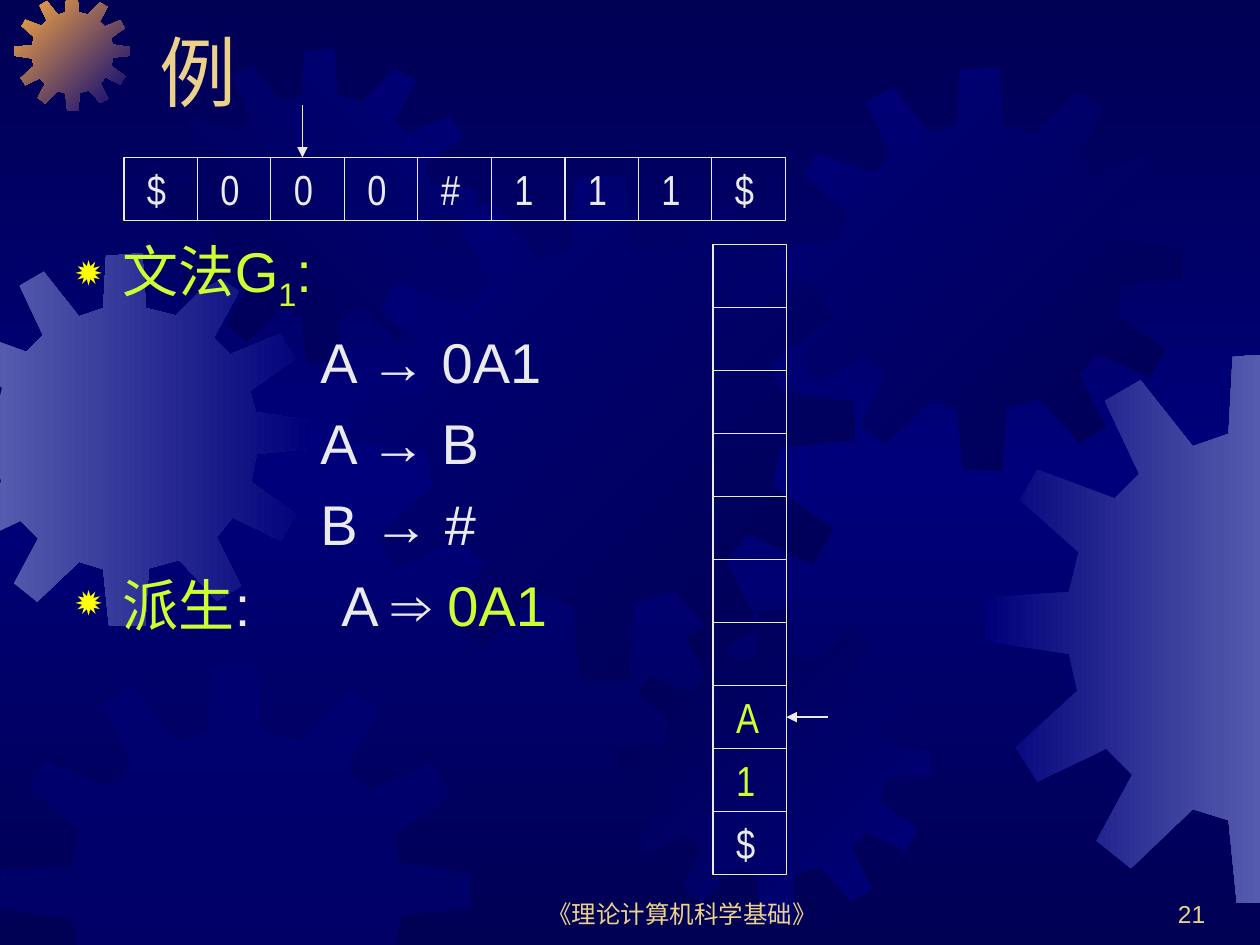
"""Build a slide showing a pushdown automaton's input tape, grammar and stack."""
from lxml import etree
from pptx import Presentation
from pptx.dml.color import RGBColor
from pptx.enum import shapes, text
from pptx.oxml import ns
from pptx.util import Pt

NAVY = RGBColor(0x00, 0x00, 0x54)
BLUE = RGBColor(0x00, 0x00, 0x7A)
STEEL = RGBColor(0x55, 0x5B, 0xAD)
ORANGE = RGBColor(0xFC, 0xAB, 0x40)
GOLD = RGBColor(0xEB, 0xD1, 0x89)
PALE = RGBColor(0xEA, 0xEA, 0xEA)
LIME = RGBColor(0xCC, 0xFF, 0x33)
YELLOW = RGBColor(0xFF, 0xFF, 0x00)

WIDTH, HEIGHT = 720, 540
CELL_W, CELL_H = 42, 36
TAPE_LEFT, TAPE_TOP = 70.8, 90
STACK_LEFT, STACK_TOP = 407.4, 139.8
GEAR_UNIT = 401
GEAR = [
    (255, 67), (223, 59), (219, 0), (180, 3), (177, 59), (151, 68), (113, 20), (87, 35),
    (112, 88), (94, 106), (38, 85), (25, 107), (68, 145), (61, 174), (1, 178), (0, 210),
    (61, 219), (67, 246), (22, 287), (38, 312), (88, 288), (107, 307), (81, 355), (106, 375),
    (151, 332), (177, 340), (183, 400), (222, 401), (226, 339), (259, 330), (299, 374),
    (325, 358), (299, 306), (316, 284), (368, 309), (384, 281), (336, 246), (342, 216),
    (401, 210), (400, 180), (341, 171), (335, 148), (383, 114), (367, 87), (313, 109),
    (296, 91), (323, 41), (297, 25),
]
GEARS = [
    (-35, 144.7, 213, (STEEL, BLUE), 0),
    (8.3, -2.7, 66, (ORANGE, BLUE), 45),
    (93.6, 28.1, 178.6, (NAVY, BLUE), 315),
    (199.4, 100.1, 289, (BLUE, NAVY), 45),
    (0, 378, 269.3, (BLUE,), 0),
    (353.5, 348.5, 178.6, (NAVY, BLUE), 45),
    (445, 38.2, 230.6, (BLUE, NAVY), 45),
    (563, 201.6, 315, (BLUE, STEEL), 0),
]


def add(parent, tag, **attrs):
    """Append a DrawingML element with its attributes."""
    return etree.SubElement(parent, ns.qn(tag), {k: str(v) for k, v in attrs.items()})


def clip(points, axis, limit, sign):
    """Cut a polygon at a horizontal or vertical limit."""
    kept = []
    for a, b in zip(points, points[1:] + points[:1]):
        da, db = sign * (a[axis] - limit), sign * (b[axis] - limit)
        if da >= 0:
            kept.append(a)
        if da * db < 0:
            t = da / (da - db)
            kept.append((a[0] + t * (b[0] - a[0]), a[1] + t * (b[1] - a[1])))
    return kept


class Deck:
    """Hold the style and the current slide."""

    def __init__(self):
        """Start a presentation with one title-only slide."""
        self.prs = Presentation()
        self.prs.slide_width, self.prs.slide_height = Pt(WIDTH), Pt(HEIGHT)
        self.s = self.prs.slides.add_slide(self.prs.slide_layouts[5])
        self.font, self.cell_font = "Arial", "Arial Narrow"

    def style(self, r, size, color, font=None):
        """Format one run."""
        r.font.name, r.font.size = font or self.font, Pt(size)
        r.font.color.rgb = color

    def gradient(self, fill, element, colors, angle):
        """Fill with evenly spaced colours at a clockwise angle."""
        fill.gradient()
        fill.gradient_angle = -angle % 360
        stops = next(element.iter(ns.qn("a:gsLst")))
        stops[:] = []
        for i, color in enumerate(colors):
            stop = add(stops, "a:gs", pos=i * 100000 // (len(colors) - 1))
            add(stop, "a:srgbClr", val=color)

    def background(self, colors, angle):
        """Paint the slide background."""
        self.gradient(self.s.background.fill, self.s.element, colors, angle)

    def gear(self, left, top, size, colors, angle):
        """Draw a gear, cut off at the slide's edges."""
        k = size / GEAR_UNIT
        points = [(left + x * k, top + y * k) for x, y in GEAR]
        for edge in ((0, 0, 1), (0, WIDTH, -1), (1, 0, 1), (1, HEIGHT, -1)):
            points = clip(points, *edge)
        points = [(Pt(x), Pt(y)) for x, y in points]
        builder = self.s.shapes.build_freeform(*points[0])
        builder.add_line_segments(points[1:], close=True)
        sp = builder.convert_to_shape()
        sp.shadow.inherit = False
        sp.line.fill.background()
        if len(colors) > 1:
            self.gradient(sp.fill, sp.element, colors, angle)
        else:
            sp.fill.solid()
            sp.fill.fore_color.rgb = colors[0]
            add(next(sp.element.iter(ns.qn("a:srgbClr"))), "a:alpha", val=50000)

    def title(self, words, left, top, width, height):
        """Place and format the title."""
        sp = self.s.shapes.title
        sp.left, sp.top, sp.width, sp.height = Pt(left), Pt(top), Pt(width), Pt(height)
        tf = sp.text_frame
        tf.text = words
        tf.vertical_anchor = text.MSO_ANCHOR.BOTTOM
        p = tf.paragraphs[0]
        p.alignment = text.PP_ALIGN.LEFT
        self.style(p.runs[0], 44, GOLD)
        tree = self.s.shapes.element
        tree.remove(sp.element)
        tree.append(sp.element)

    def textbox(self, left, top, width, height):
        """Add a wrapping text box and return its frame."""
        tf = self.s.shapes.add_textbox(Pt(left), Pt(top), Pt(width), Pt(height)).text_frame
        tf.word_wrap = True
        return tf

    def footer(self, words, left, width, align):
        """Add a line at the foot of the slide."""
        tf = self.textbox(left, 498, width, 36)
        tf.vertical_anchor = text.MSO_ANCHOR.BOTTOM
        tf.text = words
        p = tf.paragraphs[0]
        p.alignment = align
        self.style(p.runs[0], 14, GOLD)

    def body(self, lines, left, top, width, height):
        """Add bulleted headings and indented rules."""
        tf = self.textbox(left, top, width, height)
        for i, (bullet, runs) in enumerate(lines):
            p = tf.add_paragraph() if i else tf.paragraphs[0]
            if i:
                p.space_before = Pt(8)
            pr = p._p.get_or_add_pPr()
            pr.set("marL", str(Pt(27 if bullet else 140)))
            pr.set("indent", str(Pt(-27 if bullet else 0)))
            if bullet:
                add(add(pr, "a:buClr"), "a:srgbClr", val=YELLOW)
                add(pr, "a:buSzPct", val=80000)
                add(pr, "a:buChar", char="✹")
                add(add(pr, "a:tabLst"), "a:tab", pos=Pt(152), algn="l")
            for words, color, baseline in runs:
                r = p.add_run()
                r.text = words
                self.style(r, 32, color)
                if baseline:
                    r.font._element.set("baseline", str(baseline))

    def cell(self, words, left, top, color):
        """Add one outlined cell of the tape or stack."""
        sp = self.s.shapes.add_shape(
            shapes.MSO_SHAPE.RECTANGLE, Pt(left), Pt(top), Pt(CELL_W), Pt(CELL_H))
        sp.shadow.inherit = False
        sp.fill.background()
        sp.line.color.rgb, sp.line.width = PALE, Pt(0.75)
        if words:
            tf = sp.text_frame
            tf.text = words
            tf.margin_left, tf.margin_right = Pt(13.2), 0
            tf.vertical_anchor = text.MSO_ANCHOR.MIDDLE
            p = tf.paragraphs[0]
            p.alignment = text.PP_ALIGN.LEFT
            self.style(p.runs[0], 24, color, self.cell_font)
        return sp

    def arrow(self, x1, y1, x2, y2):
        """Add a line with an arrowhead at its end."""
        c = self.s.shapes.add_connector(
            shapes.MSO_CONNECTOR.STRAIGHT, Pt(x1), Pt(y1), Pt(x2), Pt(y2))
        c.line.color.rgb, c.line.width = PALE, Pt(0.75)
        add(c.line._get_or_add_ln(), "a:tailEnd", type="triangle")
        add(c.element.spPr, "a:effectLst")
        return c


def main():
    """Compose and save the slide."""
    deck = Deck()
    deck.background((NAVY, BLUE, NAVY), 90)
    for gear in GEARS:
        deck.gear(*gear)
    deck.footer("《理论计算机科学基础》", 275.8, 228, text.PP_ALIGN.CENTER)
    deck.footer("21", 545.8, 150, text.PP_ALIGN.RIGHT)
    deck.title("例", 84.2, -19.4, 612, 90)
    rules = [(False, [(rule, PALE, 0)]) for rule in ("A → 0A1", "A → B", "B → #")]
    deck.body([
        (True, [("文法G", LIME, 0), ("1", LIME, -25000), (":", LIME, 0)]),
        *rules,
        (True, [("派生", LIME, 0), (":\tA ⇒ ", PALE, 0), ("0A1", LIME, 0)]),
    ], 36, 131.8, 375, 365.8)
    for i, symbol in enumerate("$000#111$"):
        deck.cell(symbol, TAPE_LEFT + i * CELL_W, TAPE_TOP, PALE)
    deck.arrow(172.8, 60, 172.8, TAPE_TOP)
    stack = [""] * 7 + ["A", "1", "$"]
    cells = [deck.cell(symbol, STACK_LEFT, STACK_TOP + i * CELL_H, PALE if symbol == "$" else LIME)
             for i, symbol in enumerate(stack)]
    y = STACK_TOP + 7.5 * CELL_H
    deck.arrow(473.4, y, STACK_LEFT + CELL_W, y).end_connect(cells[7], 3)
    deck.prs.save("out.pptx")


if __name__ == "__main__":
    main()
